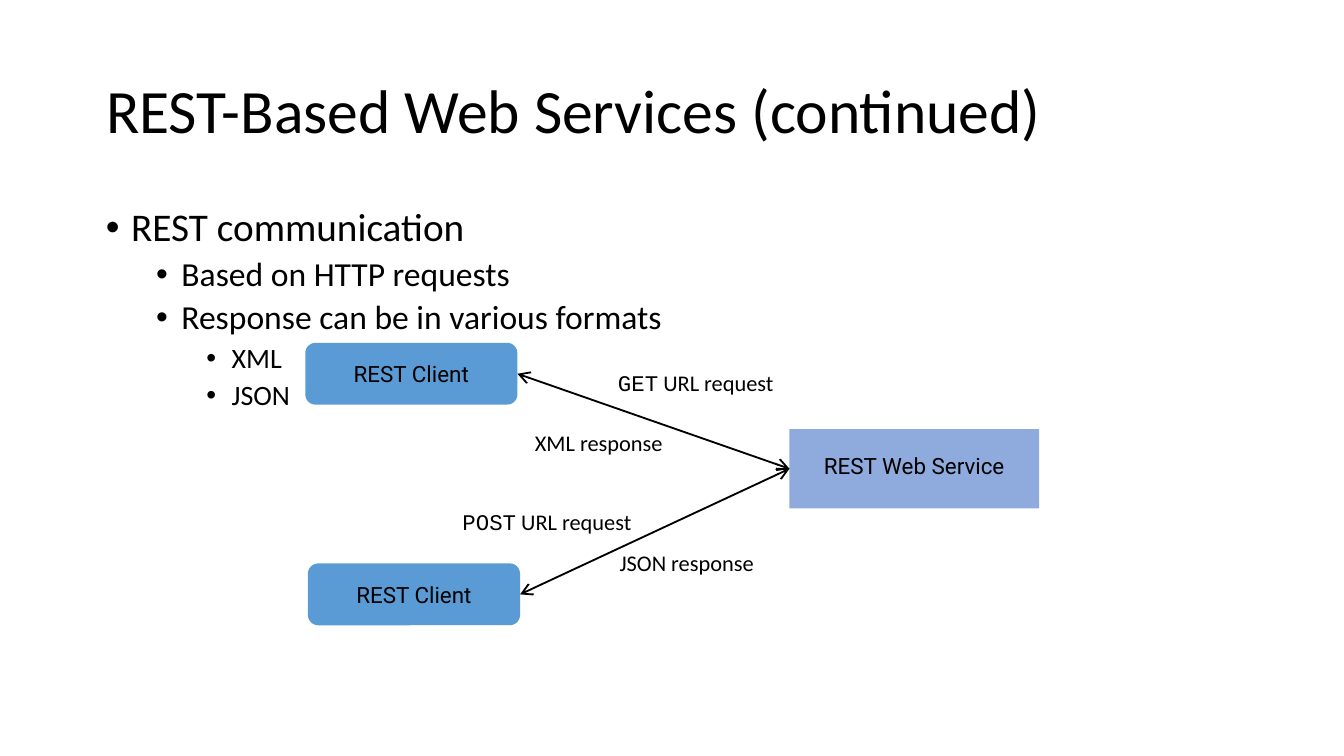
from lxml import etree
from pptx import Presentation
from pptx import util as u
from pptx.dml.color import RGBColor
from pptx.enum import shapes, text
from pptx.oxml.ns import qn

COLORS = {"ink": "000000", "client": "5B9BD5", "service": "8FAADC"}
BULLET_LEVELS = [(21, 7.5, 0.48), (18, 3.8, 1.43), (15, 3.8, 2.38)]
BULLETS = [
    (0, "REST communication"),
    (1, "Based on HTTP requests"),
    (1, "Response can be in various formats"),
    (2, "XML"),
    (2, "JSON"),
]
LABELS = [
    (5.66, 0.38, 4.04, "GET", " URL request"),
    (2.72, 3.0, 4.5, "POST", " URL request"),
    (4.09, 1.5, 3.12, "", "XML response"),
    (5.69, 3.78, 3.51, "", "JSON response"),
]


def color(name):
    """Return the named colour."""
    return RGBColor.from_string(COLORS[name])


def format_run(run, size, font):
    """Give a run its size, font and ink colour."""
    run.font.size = u.Pt(size)
    run.font.name = font
    run.font.color.rgb = color("ink")


def add_title(slide, box, title):
    """Place the title placeholder in the box."""
    shape = slide.shapes.title
    shape.left, shape.top, shape.width, shape.height = map(u.Cm, box)
    frame = shape.text_frame
    frame.text = title
    frame.vertical_anchor = text.MSO_ANCHOR.MIDDLE
    paragraph = frame.paragraphs[0]
    paragraph.alignment = text.PP_ALIGN.LEFT
    paragraph.line_spacing = 0.9
    format_run(paragraph.runs[0], 33, "Calibri")


def add_bullets(slide, box, bullets):
    """Fill the box with a bulleted outline."""
    frame = slide.shapes.add_textbox(*map(u.Cm, box)).text_frame
    frame.word_wrap = True
    for index, (level, wording) in enumerate(bullets):
        size, space, indent = BULLET_LEVELS[level]
        paragraph = frame.add_paragraph() if index else frame.paragraphs[0]
        paragraph.text = wording
        paragraph.level = level
        paragraph.line_spacing = 0.9
        paragraph.space_before = u.Pt(space)
        format_run(paragraph.runs[0], size, "Calibri")
        properties = paragraph._p.get_or_add_pPr()
        properties.set("marL", str(u.Cm(indent)))
        properties.set("indent", str(u.Cm(-0.48)))
        etree.SubElement(properties, qn("a:buFont"), typeface="Arial")
        etree.SubElement(properties, qn("a:buChar"), char="•")


def add_node(slide, box, kind, fill, wording):
    """Add a filled node with a centred name."""
    shape = slide.shapes.add_shape(kind, *map(u.Cm, box))
    shape.shadow.inherit = False
    shape.fill.solid()
    shape.fill.fore_color.rgb = color(fill)
    shape.line.fill.background()
    frame = shape.text_frame
    frame.text = wording
    frame.vertical_anchor = text.MSO_ANCHOR.MIDDLE
    paragraph = frame.paragraphs[0]
    paragraph.alignment = text.PP_ALIGN.CENTER
    format_run(paragraph.runs[0], 12, "Roboto")
    return shape


def add_link(slide, client, service):
    """Join a client's right side to the service's left with a two-way arrow."""
    link = slide.shapes.add_connector(shapes.MSO_CONNECTOR.STRAIGHT, 0, 0, 0, 0)
    link.begin_connect(client, 3)
    link.end_connect(service, 1)
    link.line.color.rgb = color("ink")
    link.line.width = u.Pt(1)
    line = link.line._get_or_add_ln()
    for end in ("a:headEnd", "a:tailEnd"):
        etree.SubElement(line, qn(end), type="arrow")
    etree.SubElement(link._element.spPr, qn("a:effectLst"))


def add_label(slide, box, method, wording):
    """Add a message label, with its HTTP method in a fixed-width font."""
    frame = slide.shapes.add_textbox(*map(u.Cm, box)).text_frame
    frame.word_wrap = True
    for part, font in ((method, "Courier New"), (wording, "Calibri")):
        if part:
            run = frame.paragraphs[0].add_run()
            run.text = part
            format_run(run, 12, font)


def add_diagram(slide, box):
    """Draw two clients exchanging messages with the service inside the box."""
    left, top, width, height = box
    client_width, client_height = 4.01, 1.17
    service_width, service_height = 4.72, 1.5
    service_box = (left + width - service_width, top + 1.63, service_width, service_height)
    service = add_node(slide, service_box, shapes.MSO_SHAPE.RECTANGLE, "service", "REST Web Service")
    service.text_frame.margin_bottom = u.Cm(0.23)
    for x, y in ((0, 0), (0.05, height - client_height)):
        client_box = (left + x, top + y, client_width, client_height)
        client = add_node(slide, client_box, shapes.MSO_SHAPE.ROUNDED_RECTANGLE, "client", "REST Client")
        add_link(slide, client, service)
    for x, y, label_width, method, wording in LABELS:
        add_label(slide, (left + x, top + y, label_width, 0.76), method, wording)


def main():
    """Build and save the presentation."""
    presentation = Presentation()
    presentation.slide_width = u.Cm(25.4)
    presentation.slide_height = u.Cm(14.29)
    slide = presentation.slides.add_slide(presentation.slide_layouts[5])
    add_title(slide, (1.75, 0.76, 21.9, 2.77), "REST-Based Web Services (continued)")
    add_bullets(slide, (1.75, 3.81, 21.9, 9.07), BULLETS)
    add_diagram(slide, (5.77, 6.48, 13.87, 5.34))
    presentation.save("out.pptx")


if __name__ == "__main__":
    main()
